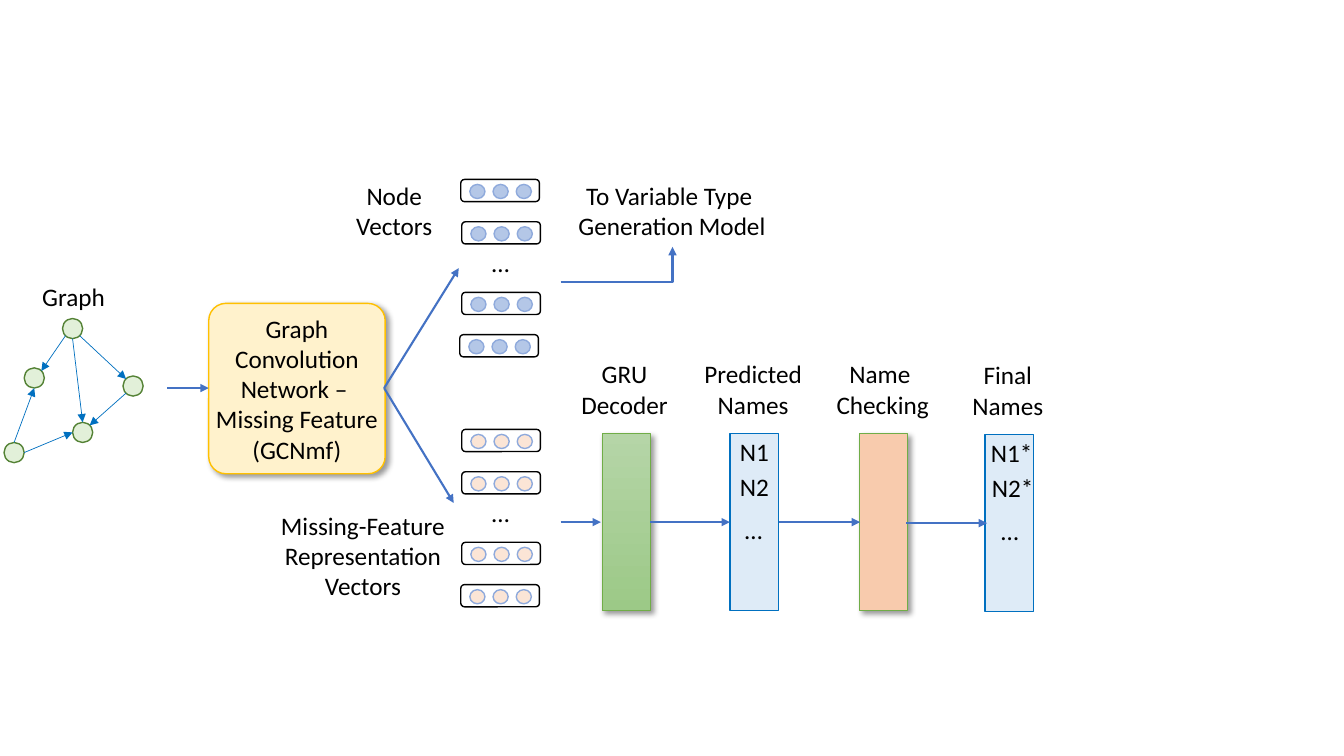
import pptx
import pptx.util
import pptx.dml.color
import pptx.enum.shapes
import pptx.enum.text
import pptx.oxml
import pptx.oxml.ns
from pptx.util import Inches

RGBColor = pptx.dml.color.RGBColor
Shape = pptx.enum.shapes.MSO_SHAPE
Connector = pptx.enum.shapes.MSO_CONNECTOR
Align = pptx.enum.text.PP_ALIGN

BLACK = RGBColor(0x00, 0x00, 0x00)
NODE_FILL = RGBColor(0xE2, 0xF0, 0xD9)
NODE_LINE = RGBColor(0x54, 0x82, 0x35)
BLUE = RGBColor(0x00, 0x70, 0xC0)
ARROW_BLUE = RGBColor(0x44, 0x72, 0xC4)
CREAM = RGBColor(0xFF, 0xF2, 0xCC)
GOLD = RGBColor(0xFF, 0xC0, 0x00)
VECTOR_BLUE = RGBColor(0xB4, 0xC7, 0xE7)
VECTOR_PEACH = RGBColor(0xFB, 0xE5, 0xD6)
VECTOR_LINE = RGBColor(0x8F, 0xAA, 0xDC)
GREEN_TOP = RGBColor(0xB5, 0xD5, 0xA7)
GREEN_BOTTOM = RGBColor(0x9C, 0xC9, 0x87)
GREEN_LINE = RGBColor(0x70, 0xAD, 0x47)
PALE_BLUE = RGBColor(0xDE, 0xEB, 0xF7)
ORANGE = RGBColor(0xF8, 0xCB, 0xAD)

NAMESPACE = pptx.oxml.ns.nsdecls("a")
SHADOW = (
    f'<a:outerShdw {NAMESPACE} blurRad="50800" dist="38100" dir="2700000" '
    'algn="tl" rotWithShape="0"><a:srgbClr val="000000">'
    '<a:alpha val="40000"/></a:srgbClr></a:outerShdw>'
)

deck = pptx.Presentation()
deck.slide_width = Inches(13.33)
deck.slide_height = Inches(7.5)
page = deck.slides.add_slide(deck.slide_layouts[6])


def draw(kind, place, line, fill=None, weight=1, shadow=False):
    """Add a shape; fill is None, one colour, or a list of two for a gradient."""
    shape = page.shapes.add_shape(kind, *map(Inches, place))
    if fill is None:
        shape.fill.background()
    elif isinstance(fill, list):
        shape.fill.gradient()
        shape.fill.gradient_angle = 270
        for stop, color, position in zip(shape.fill.gradient_stops, fill, (0, 1)):
            stop.color.rgb = color
            stop.position = position
    else:
        shape.fill.solid()
        shape.fill.fore_color.rgb = fill
    shape.line.color.rgb = line
    shape.line.width = pptx.util.Pt(weight)
    shape.shadow.inherit = False
    if shadow:
        effects = shape._element.spPr.find(pptx.oxml.ns.qn("a:effectLst"))
        effects.append(pptx.oxml.parse_xml(SHADOW))
    return shape


def write(text, place=None, box=None, align=Align.CENTER, wrap=False, size=18):
    """Write one paragraph per line of text, in a new text box or a given box."""
    if box is None:
        box = page.shapes.add_textbox(*map(Inches, place))
        box.text_frame.auto_size = pptx.enum.text.MSO_AUTO_SIZE.SHAPE_TO_FIT_TEXT
    frame = box.text_frame
    frame.word_wrap = wrap
    frame.text = text
    for para in frame.paragraphs:
        para.alignment = align
        para.font.size = pptx.util.Pt(size)
        para.font.name = "Calibri"
        para.font.color.rgb = BLACK


# Input graph
for left, top in [(0.62, 3.16), (0.24, 3.65), (0.72, 4.19), (1.22, 3.73), (0.04, 4.39)]:
    draw(Shape.OVAL, (left, top, 0.2, 0.2), NODE_LINE, NODE_FILL)
write("Graph", (0.32, 2.74, 0.83, 0.4), align=Align.LEFT)

# Graph convolution network
network = draw(Shape.ROUNDED_RECTANGLE, (2.07, 3.01, 1.75, 1.69), GOLD, CREAM, shadow=True)
network.adjustments[0] = 0.101
frame = network.text_frame
frame.margin_left = frame.margin_right = frame.margin_top = frame.margin_bottom = 0
frame.vertical_anchor = pptx.enum.text.MSO_ANCHOR.MIDDLE
write("Graph\nConvolution\nNetwork – \nMissing Feature\n(GCNmf)", box=network, wrap=True)

# Two banks of vectors, each with an ellipsis between the second and third
ROW_OFFSETS = (0, 0.42, 1.12, 1.54)
for bank_top, lefts, color in [
    (1.78, (4.57, 4.58, 4.58, 4.56), VECTOR_BLUE),
    (4.26, (4.58, 4.58, 4.58, 4.57), VECTOR_PEACH),
]:
    for left, offset in zip(lefts, ROW_OFFSETS):
        top = bank_top + offset
        draw(Shape.ROUNDED_RECTANGLE, (left, top, 0.78, 0.22), BLACK)
        for column in range(3):
            cell_left = left + 0.09 + 0.23 * column
            draw(Shape.OVAL, (cell_left, top + 0.05, 0.15, 0.14), VECTOR_LINE, color)
    write("…", (4.78, bank_top + 0.62, 0.38, 0.4), align=Align.LEFT)
write("Node\nVectors", (3.43, 1.74, 0.96, 0.71))
write("Missing-Feature\nRepresentation\nVectors", (2.68, 5.01, 1.84, 1.01))
write("To Variable Type \nGeneration Model", (5.61, 1.74, 2.11, 0.71), wrap=True)

# Naming stages
for left, top, fill, line, weight, shadow, title, title_left, title_width in [
    (5.97, 4.3, [GREEN_TOP, GREEN_BOTTOM], GREEN_LINE, 0.5, True, "GRU\nDecoder", 5.66, 1.07),
    (7.24, 4.3, PALE_BLUE, BLUE, 1, False, "Predicted\nNames", 6.88, 1.18),
    (8.52, 4.3, ORANGE, GREEN_LINE, 0.5, True, "Name \nChecking", 8.19, 1.13),
    (9.77, 4.31, PALE_BLUE, BLUE, 1, False, "Final\nNames", 9.54, 0.91),
]:
    draw(Shape.RECTANGLE, (left, top, 0.48, 1.76), line, fill, weight, shadow)
    write(title, (title_left, top - 0.79, title_width, 0.71))

for text, left, top, width in [
    ("N1", 7.24, 4.28, 0.49), ("N2", 7.24, 4.63, 0.49), ("…", 7.29, 5.05, 0.38),
    ("N1*", 9.73, 4.29, 0.62), ("N2*", 9.74, 4.64, 0.62), ("…", 9.83, 5.06, 0.38),
]:
    write(text, (left, top, width, 0.4), align=Align.LEFT)

# Arrows: graph edges first, then the flow between stages
graph_edges = [
    (0.65, 3.33, 0.41, 3.68), (0.72, 3.36, 0.82, 4.19), (0.79, 3.33, 1.25, 3.76),
    (1.25, 3.9, 0.89, 4.22), (0.24, 4.49, 0.72, 4.29), (0.14, 4.39, 0.34, 3.85),
]
flow = [
    (1.66, 3.85, 2.07, 3.85), (3.81, 3.85, 4.55, 2.66), (3.81, 3.85, 4.5, 4.99),
    (5.56, 5.18, 5.96, 5.18), (6.45, 5.18, 7.24, 5.18), (7.73, 5.18, 8.53, 5.18),
    (8.99, 5.19, 9.79, 5.19),
]
to_type_model = [(5.56, 2.8, 6.67, 2.45)]
for routes, kind, color, weight in [
    (graph_edges, Connector.STRAIGHT, BLUE, 0.5),
    (flow, Connector.STRAIGHT, ARROW_BLUE, 1.5),
    (to_type_model, Connector.ELBOW, ARROW_BLUE, 1.5),
]:
    for ends in routes:
        arrow = page.shapes.add_connector(kind, *map(Inches, ends))
        arrow.line.color.rgb = color
        arrow.line.width = pptx.util.Pt(weight)
        arrow.line._get_or_add_ln().append(
            pptx.oxml.parse_xml(f'<a:tailEnd {NAMESPACE} type="triangle"/>'))
        properties = arrow._element.spPr
        properties.append(pptx.oxml.parse_xml(f"<a:effectLst {NAMESPACE}/>"))
        if kind == Connector.ELBOW:
            properties.find(pptx.oxml.ns.qn("a:prstGeom")).set("prst", "bentConnector2")

deck.save("out.pptx")
